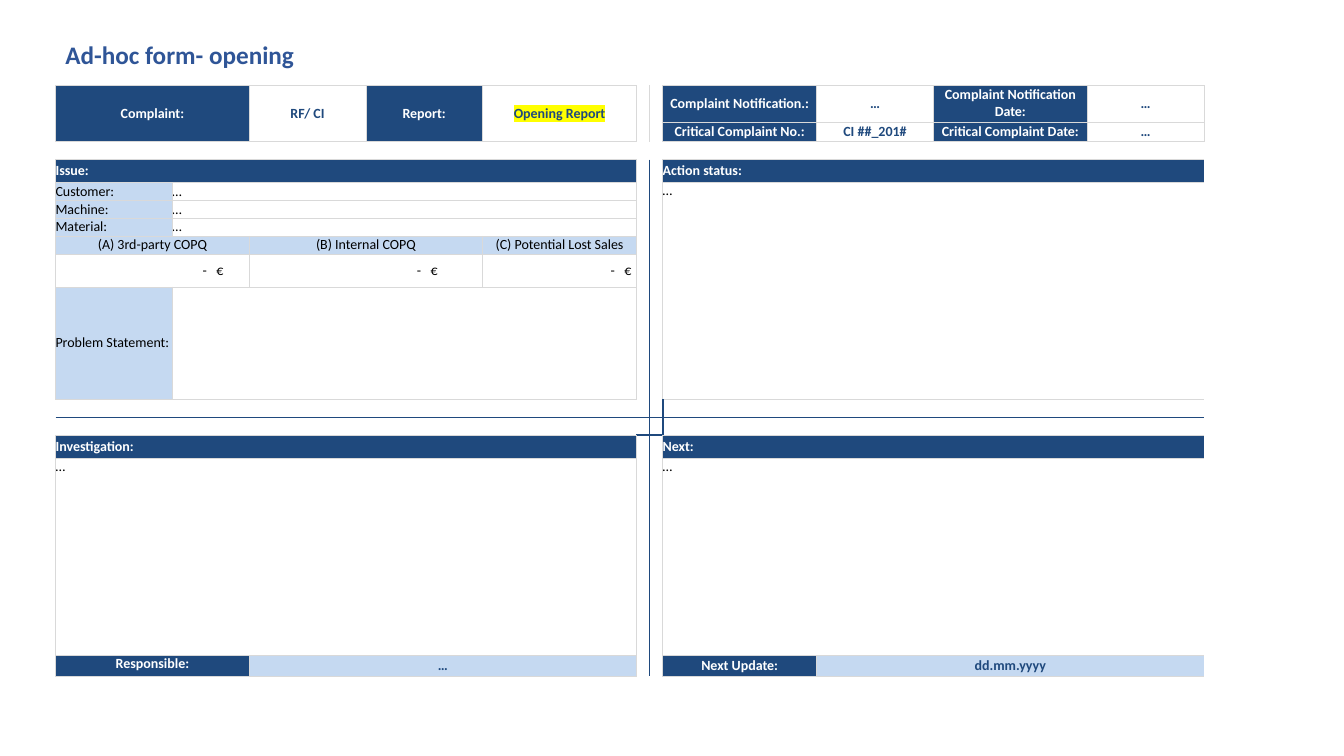
from collections import defaultdict

from lxml import etree
from pptx import Presentation
from pptx.dml.color import RGBColor
from pptx.enum.text import MSO_ANCHOR, PP_ALIGN
from pptx.oxml.ns import qn
from pptx.util import Cm, Pt

LEFT, CENTER, RIGHT = PP_ALIGN.LEFT, PP_ALIGN.CENTER, PP_ALIGN.RIGHT
TOP, MIDDLE = MSO_ANCHOR.TOP, MSO_ANCHOR.MIDDLE

NAVY = RGBColor(0x1F, 0x49, 0x7D)
TITLE_BLUE = RGBColor(0x2F, 0x55, 0x97)
PALE_BLUE = RGBColor(0xC5, 0xD9, 0xF1)
GREY = RGBColor(0xD9, 0xD9, 0xD9)
YELLOW = RGBColor(0xFF, 0xFF, 0x00)
WHITE = RGBColor(0xFF, 0xFF, 0xFF)
BLACK = RGBColor(0, 0, 0)

WIDE, HALF, GAP = 2.94, 1.94, 0.33
COLUMNS = [WIDE, HALF, WIDE, WIDE, HALF, HALF, GAP, GAP,
           HALF, HALF, WIDE, HALF, HALF, WIDE]
ROWS = [0.92, 0.5, 0.45, 0.58, 0.45, 0.45, 0.45, 0.45, 0.83, 2.83,
        0.46, 0.45, 0.58, 4.97, 0.51]
NO_STYLE = "{2D5ABB26-0587-4C30-8999-92F81FD0307C}"
NEIGHBOURS = {"L": (0, -1, "R"), "R": (0, 1, "L"),
              "T": (-1, 0, "B"), "B": (1, 0, "T")}


class ComplaintForm:
    font_name = "Calibri"

    def __init__(self, slide):
        self.slide = slide
        self.borders = defaultdict(dict)

    def style(self, paragraph, size, color, bold, align=LEFT):
        paragraph.alignment = align
        font = paragraph.font
        font.name, font.size, font.bold = self.font_name, Pt(size), bold
        font.color.rgb = color

    def title(self, text, left, top, width, height):
        frame = self.slide.shapes.add_textbox(
            Cm(left), Cm(top), Cm(width), Cm(height)).text_frame
        frame.word_wrap = True
        frame.text = text
        self.style(frame.paragraphs[0], 18, TITLE_BLUE, True)

    def grid(self, left, top):
        self.table = self.slide.shapes.add_table(
            len(ROWS), len(COLUMNS), Cm(left), Cm(top),
            Cm(sum(COLUMNS)), Cm(sum(ROWS))).table
        self.table.first_row = self.table.horz_banding = False
        self.table._tbl.tblPr.find(qn("a:tableStyleId")).text = NO_STYLE
        for column, width in zip(self.table.columns, COLUMNS):
            column.width = Cm(width)
        for row, height in zip(self.table.rows, ROWS):
            row.height = Cm(height)
        for cell in self.table.iter_cells():
            cell.margin_left = cell.margin_right = 0
            cell.margin_top = cell.margin_bottom = 0
            cell.fill.background()
            etree.SubElement(cell.text_frame.paragraphs[0]._p,
                             qn("a:endParaRPr"), sz="1000")

    def edge(self, row, column, side, color=GREY, width=0.5):
        down, across, opposite = NEIGHBOURS[side]
        self.borders[row, column][side] = (color, width)
        self.borders[row + down, column + across][opposite] = (color, width)

    def block(self, row, column, text="", rows=1, columns=1, fill=None,
              color=BLACK, bold=False, align=LEFT, anchor=MIDDLE,
              sides="LRTB", indent=0, highlight=None):
        last_row, last_column = row + rows - 1, column + columns - 1
        cell = self.table.cell(row, column)
        if rows * columns > 1:
            cell.merge(self.table.cell(last_row, last_column))
        cell.vertical_anchor = anchor
        cell.margin_right = Cm(indent)
        if fill is not None:
            cell.fill.solid()
            cell.fill.fore_color.rgb = fill
        if text:
            paragraph = cell.text_frame.paragraphs[0]
            run = paragraph.add_run()
            run.text = text
            self.style(paragraph, 10, color, bold, align)
            if highlight is not None:
                mark = etree.SubElement(run._r.get_or_add_rPr(), qn("a:highlight"))
                etree.SubElement(mark, qn("a:srgbClr"), val=str(highlight))
        for r in range(row, last_row + 1):
            for c in range(column, last_column + 1):
                outer = {"L": c == column, "R": c == last_column,
                         "T": r == row, "B": r == last_row}
                for side in sides:
                    if outer[side]:
                        self.edge(r, c, side)

    def label(self, row, column, text, **options):
        self.block(row, column, text, fill=NAVY, color=WHITE, bold=True,
                   **{"align": CENTER, **options})

    def value(self, row, column, text, **options):
        self.block(row, column, text, color=NAVY, bold=True, align=CENTER, **options)

    def draw_borders(self):
        for (row, column), sides in self.borders.items():
            if not (0 <= row < len(ROWS) and 0 <= column < len(COLUMNS)):
                continue
            properties = self.table.cell(row, column)._tc.get_or_add_tcPr()
            for index, side in enumerate(s for s in "LRTB" if s in sides):
                color, width = sides[side]
                line = etree.Element(qn(f"a:ln{side}"), w=str(Pt(width)))
                solid = etree.SubElement(line, qn("a:solidFill"))
                etree.SubElement(solid, qn("a:srgbClr"), val=str(color))
                properties.insert(index, line)


def main():
    presentation = Presentation()
    presentation.slide_width, presentation.slide_height = Cm(33.87), Cm(19.05)
    form = ComplaintForm(presentation.slides.add_slide(presentation.slide_layouts[6]))
    form.grid(1.4, 2.15)

    form.label(0, 0, "Complaint:", rows=2, columns=2)
    form.value(0, 2, "RF/ CI", rows=2)
    form.label(0, 3, "Report:", rows=2)
    form.value(0, 4, "Opening Report", rows=2, columns=2, highlight=YELLOW)
    notifications = [
        ("Complaint Notification.:", "…", "Complaint Notification Date:", "…"),
        ("Critical Complaint No.:", "CI ##_201#", "Critical Complaint Date:", "…"),
    ]
    for row, (number_label, number, date_label, date) in enumerate(notifications):
        form.label(row, 8, number_label, columns=2)
        form.value(row, 10, number)
        form.label(row, 11, date_label, columns=2)
        form.value(row, 13, date)

    for row, column, heading in [(3, 0, "Issue:"), (3, 8, "Action status:"),
                                 (12, 0, "Investigation:"), (12, 8, "Next:")]:
        form.label(row, column, heading, columns=6, align=LEFT)
    for row, subject in enumerate(["Customer:", "Machine:", "Material:"], 4):
        form.block(row, 0, subject, fill=PALE_BLUE)
        form.block(row, 1, "…", columns=5)
    costs = [("(A) 3rd-party COPQ", 0.65), ("(B) Internal COPQ", 1.13),
             ("(C) Potential Lost Sales", 0.13)]
    for index, (cost, indent) in enumerate(costs):
        form.block(7, 2 * index, cost, columns=2, fill=PALE_BLUE, align=CENTER)
        form.block(8, 2 * index, "-   €", columns=2, align=RIGHT, indent=indent)
    form.block(9, 0, "Problem Statement:", fill=PALE_BLUE)
    form.block(9, 1, columns=5)

    form.block(4, 8, "…", rows=6, columns=6, anchor=TOP, sides="LRT")
    for column in (0, 8):
        form.block(13, column, "…", columns=6, anchor=TOP)
    form.label(14, 0, "Responsible:", columns=2, anchor=TOP)
    form.value(14, 2, "…", columns=4, fill=PALE_BLUE)
    form.label(14, 8, "Next Update:", columns=2)
    form.value(14, 10, "dd.mm.yyyy", columns=4, fill=PALE_BLUE)

    for row in range(3, len(ROWS)):
        form.edge(row, 6, "R", NAVY, 1.5)
    for column in range(len(COLUMNS)):
        form.edge(10, column, "B", NAVY, 1.5)
    form.draw_borders()

    form.title("Ad-hoc form- opening", 1.4, 0.86, 7.72, 1.02)
    presentation.save("out.pptx")


if __name__ == "__main__":
    main()
